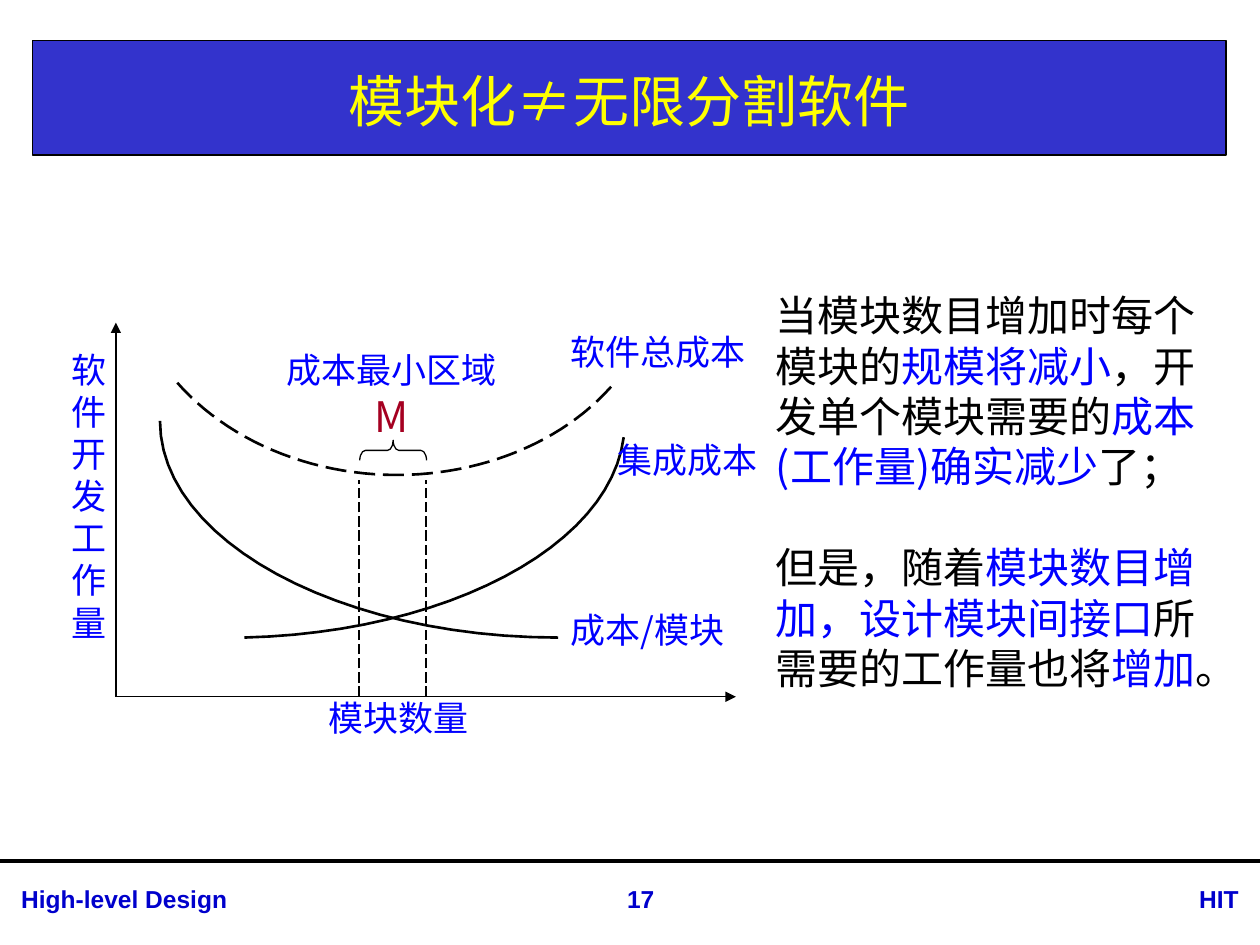
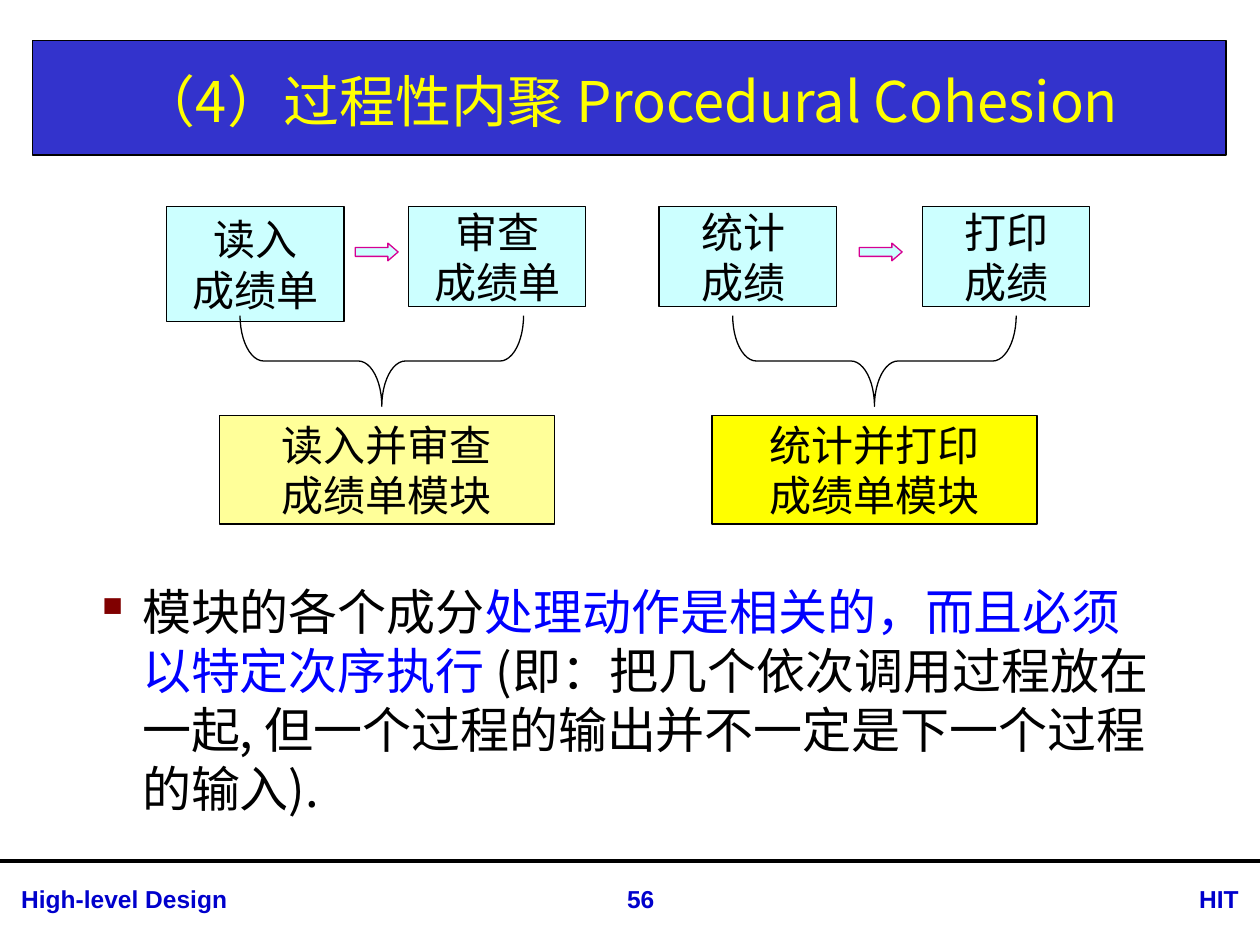
"""Builds two slides on modularity and procedural cohesion."""
from lxml.etree import SubElement
from pptx import Presentation
from pptx.dml.color import RGBColor
from pptx.enum.dml import MSO_LINE
from pptx.enum.shapes import MSO_CONNECTOR, MSO_SHAPE
from pptx.enum.text import MSO_ANCHOR, PP_ALIGN
from pptx.oxml.ns import qn
from pptx.util import Inches, Pt

CJK = "Noto Sans CJK SC"
LATIN = "Arial"
BLACK = RGBColor(0x00, 0x00, 0x00)
BLUE = RGBColor(0x00, 0x00, 0xFF)
BAND = RGBColor(0x33, 0x33, 0xCC)
FOOTER = RGBColor(0x00, 0x00, 0xCC)
YELLOW = RGBColor(0xFF, 0xFF, 0x00)
PALE_YELLOW = RGBColor(0xFF, 0xFF, 0x99)
CYAN = RGBColor(0xCC, 0xFF, 0xFF)
MAGENTA = RGBColor(0xD6, 0x00, 0x93)
RED = RGBColor(0xA5, 0x00, 0x21)
LINE_SPACING = 1.2


def inches(*values):
    """Convert several numbers to lengths."""
    return [Inches(v) for v in values]


def add_run(p, text, size, color, font=CJK, bold=False):
    """Append a formatted run, with one typeface for all scripts."""
    r = p.add_run()
    r.text = text
    r.font.size = Pt(size)
    r.font.bold = bold
    r.font.color.rgb = color
    r.font.name = font
    SubElement(r.font._element, qn("a:ea")).set("typeface", font)


def write(p, runs, size, align=PP_ALIGN.LEFT):
    """Fill a paragraph with (text, colour) runs of one size."""
    p.alignment = align
    p.line_spacing = Pt(size * LINE_SPACING)
    for text, color in runs:
        add_run(p, text, size, color)


def add_text(s, box):
    """Add a wrapping text box and return its text frame."""
    tf = s.shapes.add_textbox(*inches(*box)).text_frame
    tf.word_wrap = True
    return tf


def add_line(s, x1, y1, x2, y2, width=0.75, dashed=False, arrow=False):
    """Draw a straight black line."""
    line = s.shapes.add_connector(MSO_CONNECTOR.STRAIGHT, *inches(x1, y1, x2, y2))
    line.line.color.rgb = BLACK
    line.line.width = Pt(width)
    if dashed:
        line.line.dash_style = MSO_LINE.LONG_DASH
    if arrow:
        SubElement(line.line._get_or_add_ln(), qn("a:tailEnd")).set("type", "triangle")
    SubElement(line._element.spPr, qn("a:effectLst"))


def add_preset(s, kind, box, fill=None, line=BLACK, adjustments=(), rotation=0):
    """Add a thinly outlined preset shape."""
    sp = s.shapes.add_shape(kind, *inches(*box))
    sp.shadow.inherit = False
    sp.rotation = rotation
    for i, value in enumerate(adjustments):
        sp.adjustments[i] = value
    if fill is None:
        sp.fill.background()
    else:
        sp.fill.solid()
        sp.fill.fore_color.rgb = fill
    sp.line.color.rgb = line
    sp.line.width = Pt(0.75)
    return sp


def bezier(points, steps=24):
    """Sample a chain of cubic curves that share their end points."""
    sampled = [points[0]]
    for k in range(0, len(points) - 1, 3):
        a, b, c, d = points[k:k + 4]
        for n in range(1, steps + 1):
            t = n / steps
            u = 1 - t
            sampled.append(tuple(
                u**3 * a[i] + 3 * u * u * t * b[i] + 3 * u * t * t * c[i] + t**3 * d[i]
                for i in (0, 1)))
    return sampled


def add_curve(s, x, y, points, dashed=False):
    """Draw an open curve relative to a corner."""
    start, *rest = [inches(x + px, y + py) for px, py in bezier(points)]
    builder = s.shapes.build_freeform(*start)
    builder.add_line_segments(rest, close=False)
    sp = builder.convert_to_shape()
    sp.shadow.inherit = False
    sp.fill.background()
    sp.line.color.rgb = BLACK
    sp.line.width = Pt(1.5)
    if dashed:
        sp.line.dash_style = MSO_LINE.LONG_DASH


def add_footer(s, number):
    """Draw the rule and the three footer texts."""
    add_line(s, 0, 6.83, 10, 6.83, width=2.25)
    for left, width, text, align in (
            (0.07, 3.85, "High-level Design", PP_ALIGN.LEFT),
            (8.9, 1.03, "HIT", PP_ALIGN.RIGHT),
            (4.57, 1.03, str(number), PP_ALIGN.CENTER)):
        p = add_text(s, (left, 6.97, width, 0.34)).paragraphs[0]
        p.alignment = align
        add_run(p, text, 14, FOOTER, LATIN, bold=True)


def add_slide(prs, title, number):
    """Add a slide with its title band and footer."""
    s = prs.slides.add_slide(prs.slide_layouts[5])
    sp = s.shapes.title
    sp.left, sp.top, sp.width, sp.height = inches(0.26, 0.32, 9.47, 0.91)
    sp.fill.solid()
    sp.fill.fore_color.rgb = BAND
    sp.line.color.rgb = BLACK
    sp.line.width = Pt(0.75)
    tf = sp.text_frame
    tf.vertical_anchor = MSO_ANCHOR.MIDDLE
    tf.margin_top = Inches(0.09)
    write(tf.paragraphs[0], [(title, YELLOW)], 32, PP_ALIGN.CENTER)
    add_footer(s, number)
    return s


def add_cost_diagram(s, x, y, width, height):
    """Draw cost curves against the number of modules."""
    bottom = y + height
    add_line(s, x, bottom, x, y, arrow=True)
    add_line(s, x, bottom, x + width, bottom, arrow=True)
    for dx in (1.93, 2.46):
        add_line(s, x + dx, bottom, x + dx, y + 1.25, dashed=True)
    add_preset(s, MSO_SHAPE.LEFT_BRACE, (x + 2.12, y + 0.75, 0.16, 0.53),
               adjustments=(0.28, 0.5), rotation=90)

    total_cost = [(3.93, 0.51), (3.54, 0.95), (2.9, 1.21), (2.23, 1.21),
                  (1.53, 1.21), (0.88, 0.93), (0.48, 0.47)]
    module_cost = [(3.51, 2.5), (1.77, 2.5), (0.35, 1.73), (0.35, 0.78)]
    integration_cost = [(4.03, 0.91), (3.92, 1.78), (2.62, 2.46), (1.02, 2.5)]
    add_curve(s, x, y, total_cost, dashed=True)
    add_curve(s, x, y, module_cost)
    add_curve(s, x, y, integration_cost)

    for dx, dy, w, h, text, align in (
            (3.51, 0.01, 1.62, 0.47, "软件总成本", PP_ALIGN.LEFT),
            (-0.45, 0.16, 0.53, 2.34, "软件开发工作量", PP_ALIGN.LEFT),
            (1.59, 2.92, 2.05, 0.6, "模块数量", PP_ALIGN.LEFT),
            (3.88, 0.87, 1.39, 0.69, "集成成本", PP_ALIGN.LEFT),
            (3.22, 2.22, 2, 0.5, "成本/模块", PP_ALIGN.CENTER),
            (1.04, 0.16, 2.29, 0.78, "成本最小区域", PP_ALIGN.CENTER)):
        tf = add_text(s, (x + dx, y + dy, w, h))
        write(tf.paragraphs[0], [(text, BLUE)], 20, align)
    write(tf.add_paragraph(), [("M", RED)], 24, PP_ALIGN.CENTER)


def add_explanation(s, box):
    """Write the two paragraphs beside the diagram."""
    tf = add_text(s, box)
    write(tf.paragraphs[0], [
        ("当模块数目增加时每个模块的", BLACK), ("规模将减小", BLUE),
        ("，开发单个模块需要的", BLACK), ("成本(工作量)确实减少", BLUE),
        ("了；", BLACK)], 24)
    p = tf.add_paragraph()
    write(p, [
        ("但是，随着", BLACK), ("模块数目增加，设计模块间接口", BLUE),
        ("所需要的工作量也将", BLACK), ("增加", BLUE), ("。", BLACK)], 24)
    p.space_before = Pt(24 * LINE_SPACING)


def add_step_box(s, box, lines, fill):
    """Draw a filled box with centred lines of text."""
    tf = add_preset(s, MSO_SHAPE.RECTANGLE, box, fill).text_frame
    tf.word_wrap = False
    tf.vertical_anchor = MSO_ANCHOR.MIDDLE
    tf.margin_top = tf.margin_bottom = 0
    for i, text in enumerate(lines):
        p = tf.add_paragraph() if i else tf.paragraphs[0]
        write(p, [(text, BLACK)], 24, PP_ALIGN.CENTER)


def add_merged_steps(s, x, y, first, second, module, arrow_dx):
    """Draw two steps, the arrow between them and the module they form."""
    first_height, first_lines = first
    second_dx, second_width, second_lines = second
    module_width, module_fill, module_lines = module
    add_step_box(s, (x, y, 1.41, first_height), first_lines, CYAN)
    add_step_box(s, (x + second_dx, y, second_width, 0.79), second_lines, CYAN)
    add_step_box(s, (x + 0.42, y + 1.66, module_width, 0.86), module_lines, module_fill)
    add_preset(s, MSO_SHAPE.RIGHT_BRACE, (x + 1.35, y + 0.1, 0.72, 2.25),
               adjustments=(0.26, 0.5), rotation=90)
    add_preset(s, MSO_SHAPE.RIGHT_ARROW, (x + arrow_dx, y + 0.29, 0.34, 0.14),
               CYAN, MAGENTA, (0.5, 0.58))


def add_definition(s, box):
    """Write the bulleted definition."""
    p = add_text(s, box).paragraphs[0]
    pPr = p._p.get_or_add_pPr()
    pPr.set("marL", str(Inches(0.38)))
    pPr.set("indent", str(-Inches(0.38)))
    SubElement(SubElement(pPr, qn("a:buClr")), qn("a:srgbClr")).set("val", "800000")
    SubElement(pPr, qn("a:buChar")).set("char", "▪")
    write(p, [
        ("模块的各个成分", BLACK),
        ("处理动作是相关的，而且必须以特定次序执行 ", BLUE),
        ("(即：把几个依次调用过程放在一起, 但一个过程的输出并不一定是下一个过程的输入).",
         BLACK)], 28)


def main():
    """Build and save the presentation."""
    prs = Presentation()
    prs.slide_width, prs.slide_height = inches(10, 7.5)

    s = add_slide(prs, "模块化≠无限分割软件", 17)
    add_explanation(s, (6.06, 2.25, 3.58, 3.33))
    add_cost_diagram(s, 0.92, 2.56, 4.92, 2.97)

    s = add_slide(prs, "（4）过程性内聚 Procedural Cohesion", 56)
    add_definition(s, (0.65, 4.57, 8.66, 2.04))
    add_merged_steps(s, 1.32, 1.64, (0.91, ["读入", "成绩单"]),
                     (1.92, 1.41, ["审查", "成绩单"]),
                     (2.66, PALE_YELLOW, ["读入并审查", "成绩单模块"]), 1.5)
    add_merged_steps(s, 5.23, 1.64, (0.79, ["统计 ", "成绩 "]),
                     (2.09, 1.33, ["打印", "成绩"]),
                     (2.58, YELLOW, ["统计并打印", "成绩单模块"]), 1.59)
    prs.save("out.pptx")


if __name__ == "__main__":
    main()
